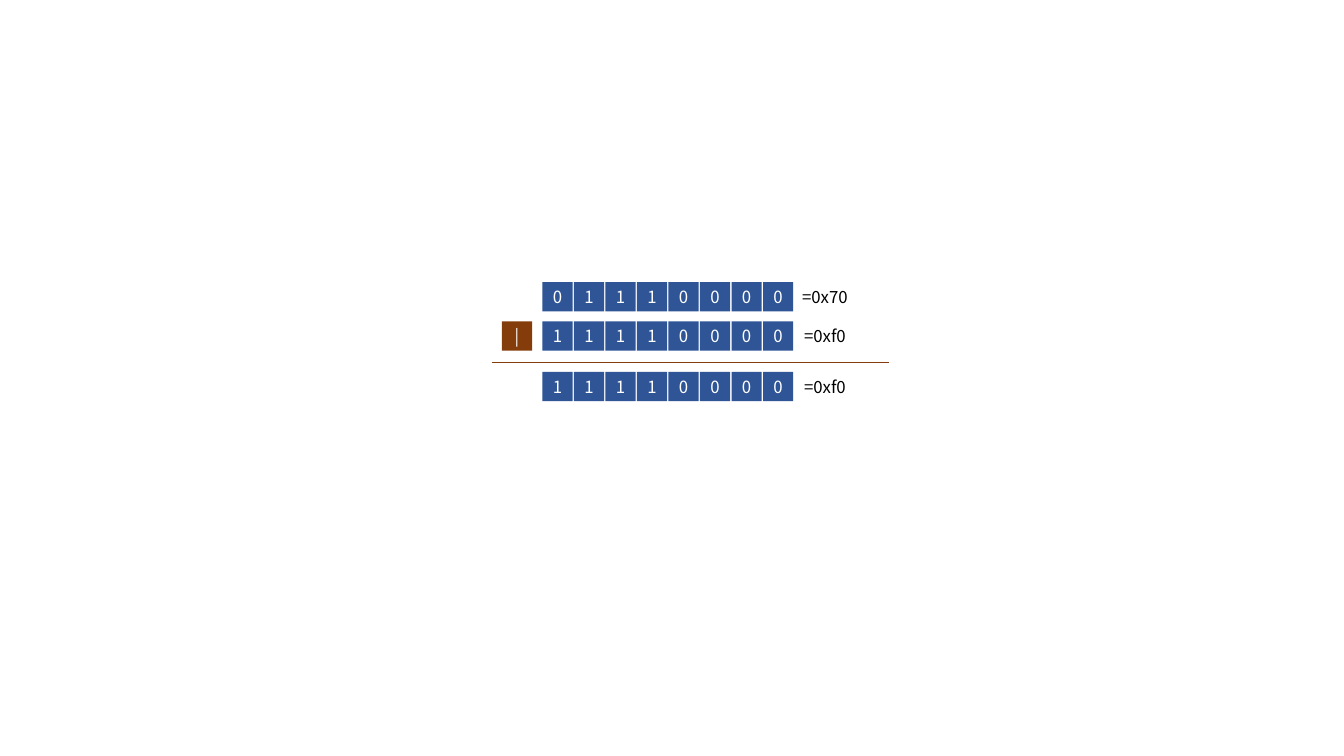
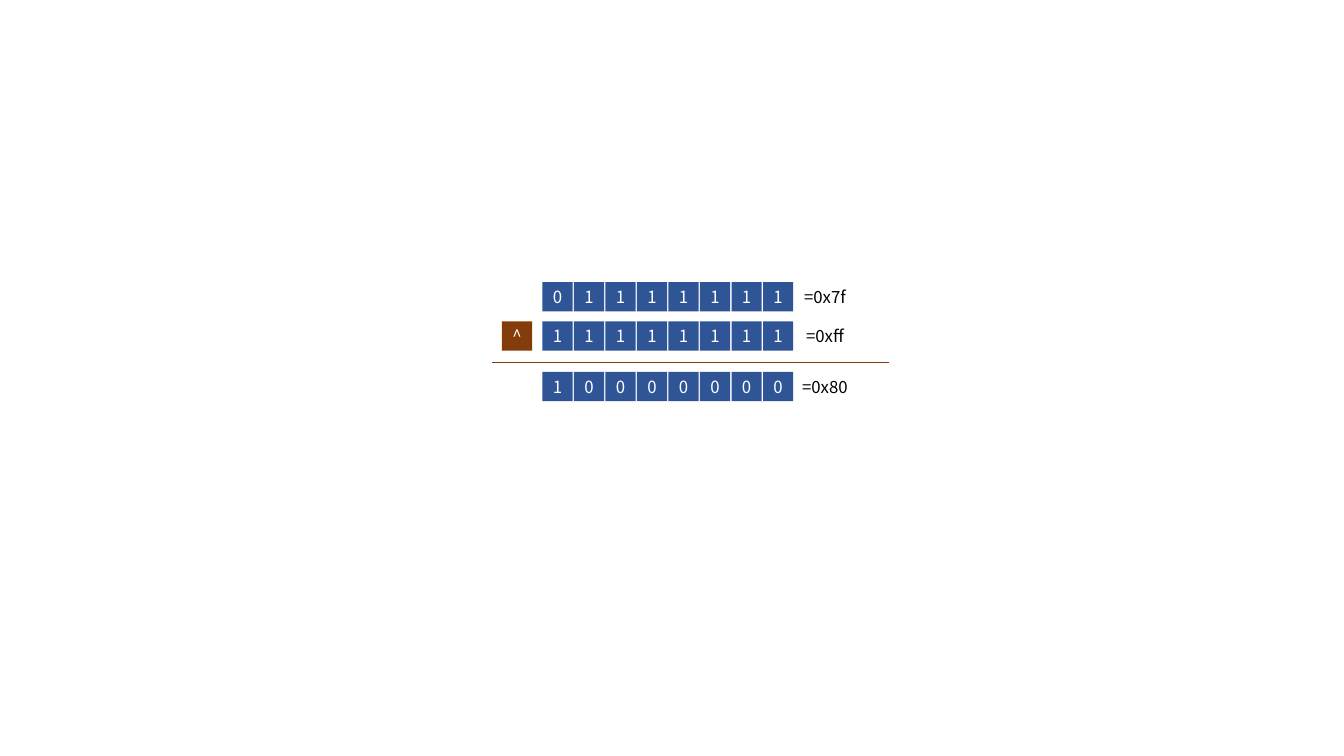
from dataclasses import dataclass

from lxml.etree import SubElement
from pptx import Presentation
from pptx.dml.color import RGBColor
from pptx.enum.shapes import MSO_CONNECTOR, MSO_SHAPE
from pptx.enum.text import MSO_ANCHOR as Anchor, PP_ALIGN as Align
from pptx.oxml.ns import qn
from pptx.shapes.base import BaseShape
from pptx.shapes.shapetree import GroupShapes
from pptx.slide import Slide
from pptx.util import Cm, Pt

COLORS = {
    "bit": "2F5597",
    "operator": "843C0B",
    "rule": "843C0C",
    "light": "FFFFFF",
    "dark": "000000",
}
FONT = "Noto Sans CJK SC"
FONT_SIZE = 12

# Lengths in centimetres
BITS = 8
CELL_WIDTH, CELL_HEIGHT = 0.76, 0.74
FIRST_BIT_LEFT, LAST_BIT_LEFT = 13.67, 19.23
BIT_PITCH = (LAST_BIT_LEFT - FIRST_BIT_LEFT) / (BITS - 1)
OPERATOR_LEFT = 12.65
LABEL_LEFT, LABEL_WIDTH = 19.61, 2.36
FIRST_TOP, SECOND_TOP, RESULT_TOP = 7.11, 8.1, 9.37
RULE_LEFT, RULE_RIGHT, RULE_TOP = 12.4, 22.4, 9.12


@dataclass(frozen=True)
class Calculation:
    first: int
    operator: str
    second: int
    result: int


CALCULATIONS = (
    Calculation(0x70, "|", 0xF0, 0xF0),
    Calculation(0x7F, "^", 0xFF, 0x80),
)


def color(name: str) -> RGBColor:
    return RGBColor.from_string(COLORS[name])


def write_centred(box: BaseShape, text: str, color_name: str) -> None:
    frame = box.text_frame
    frame.margin_left = frame.margin_right = 0
    frame.margin_top = frame.margin_bottom = 0
    frame.word_wrap = True
    frame.vertical_anchor = Anchor.MIDDLE
    frame.text = text
    para = frame.paragraphs[0]
    para.alignment = Align.CENTER
    for span in para.runs:
        span.font.name = FONT
        span.font.size = Pt(FONT_SIZE)
        span.font.color.rgb = color(color_name)


def add_cell(shapes: GroupShapes, left: float, top: float, text: str, fill: str) -> None:
    box = shapes.add_shape(
        MSO_SHAPE.RECTANGLE, Cm(left), Cm(top), Cm(CELL_WIDTH), Cm(CELL_HEIGHT)
    )
    box.shadow.inherit = False
    box.fill.solid()
    box.fill.fore_color.rgb = color(fill)
    box.line.fill.background()
    write_centred(box, text, "light")


def add_byte_row(shapes: GroupShapes, top: float, value: int) -> None:
    """Draw a byte as eight bit cells followed by its hexadecimal value."""
    for index, bit in enumerate(f"{value:0{BITS}b}"):
        add_cell(shapes, FIRST_BIT_LEFT + index * BIT_PITCH, top, bit, "bit")
    label = shapes.add_textbox(Cm(LABEL_LEFT), Cm(top), Cm(LABEL_WIDTH), Cm(CELL_HEIGHT))
    write_centred(label, f"=0x{value:02x}", "dark")


def add_rule(shapes: GroupShapes) -> None:
    rule = shapes.add_connector(
        MSO_CONNECTOR.STRAIGHT, Cm(RULE_LEFT), Cm(RULE_TOP), Cm(RULE_RIGHT), Cm(RULE_TOP)
    )
    rule.line.color.rgb = color("rule")
    rule.line.width = Pt(0.5)
    SubElement(rule._element.spPr, qn("a:effectLst"))


def draw_calculation(page: Slide, calculation: Calculation) -> None:
    shapes = page.shapes.add_group_shape().shapes
    add_byte_row(shapes, FIRST_TOP, calculation.first)
    add_byte_row(shapes, SECOND_TOP, calculation.second)
    add_cell(shapes, OPERATOR_LEFT, SECOND_TOP, calculation.operator, "operator")
    add_rule(shapes)
    add_byte_row(shapes, RESULT_TOP, calculation.result)


def main() -> None:
    deck = Presentation()
    deck.slide_width, deck.slide_height = Cm(33.87), Cm(19.05)
    blank_layout = deck.slide_layouts[6]
    for calculation in CALCULATIONS:
        draw_calculation(deck.slides.add_slide(blank_layout), calculation)
    deck.save("out.pptx")


if __name__ == "__main__":
    main()
